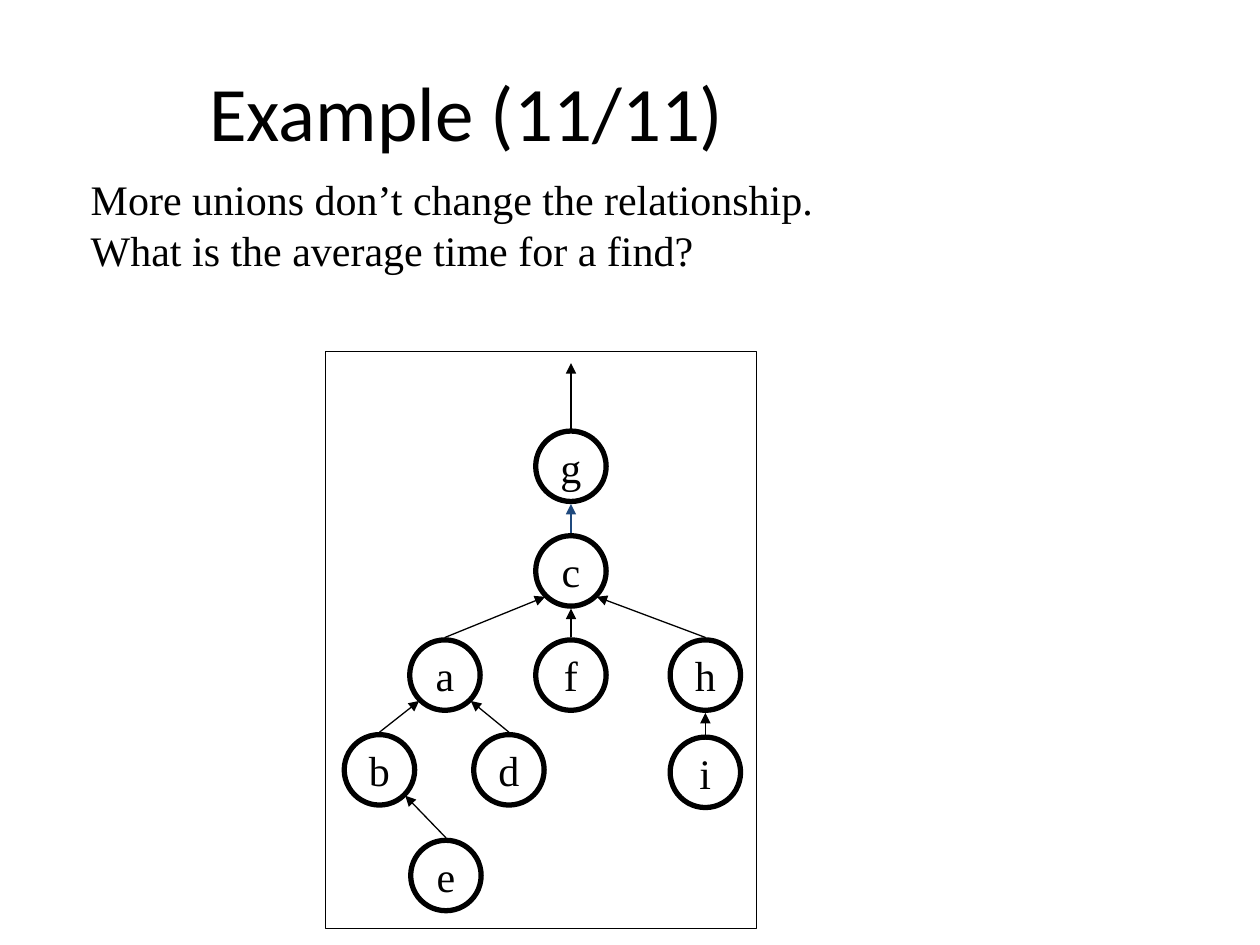
"""Build the slide showing a union-find tree after the last union."""
from lxml import etree
from pptx import Presentation
from pptx.dml.color import RGBColor
from pptx.enum.shapes import MSO_CONNECTOR, MSO_SHAPE
from pptx.enum.text import MSO_ANCHOR, PP_ALIGN
from pptx.oxml.ns import qn
from pptx.util import Cm, Pt

RECTANGLE, OVAL = MSO_SHAPE.RECTANGLE, MSO_SHAPE.OVAL
STRAIGHT = MSO_CONNECTOR.STRAIGHT
TOP, MIDDLE = MSO_ANCHOR.TOP, MSO_ANCHOR.MIDDLE
LEFT, CENTER = PP_ALIGN.LEFT, PP_ALIGN.CENTER
BLACK = RGBColor(0x00, 0x00, 0x00)
WHITE = RGBColor(0xFF, 0xFF, 0xFF)
NAVY = RGBColor(0x1F, 0x49, 0x7D)
TITLE_FONT = {"name": "Calibri", "size": Pt(44)}
BODY_FONT = {"name": "Times New Roman", "size": Pt(24)}
RADIUS, REACH, DIAGONAL = 0.71, 0.76, 0.52


def write(sp, lines, font, align, anchor, wrap):
    tf = sp.text_frame
    tf.word_wrap = wrap
    tf.vertical_anchor = anchor
    for i, line in enumerate(lines):
        p = tf.paragraphs[0] if i == 0 else tf.add_paragraph()
        p.alignment = align
        r = p.add_run()
        r.text = line
        r.font.color.rgb = BLACK
        for key, value in font.items():
            setattr(r.font, key, value)


def arrow(x1, y1, x2, y2, color):
    line = s.shapes.add_connector(STRAIGHT, Cm(x1), Cm(y1), Cm(x2), Cm(y2))
    line.line.color.rgb = color
    line.line.width = Pt(0.75)
    etree.SubElement(line.line._get_or_add_ln(), qn("a:tailEnd"), type="triangle")
    etree.SubElement(line._element.spPr, qn("a:effectLst"))


prs = Presentation()
prs.slide_width, prs.slide_height = Cm(25.4), Cm(19.05)
s = prs.slides.add_slide(prs.slide_layouts[6])

title = s.shapes.add_textbox(Cm(0.2), Cm(0.64), Cm(18.42), Cm(3.18))
write(title, ["Example (11/11)"], TITLE_FONT, CENTER, MIDDLE, True)

question = s.shapes.add_textbox(Cm(1.58), Cm(3.38), Cm(15.42), Cm(2.31))
write(question, ["More unions don’t change the relationship. ",
                 "What is the average time for a find?"], BODY_FONT, LEFT, TOP, False)

frame = s.shapes.add_shape(RECTANGLE, Cm(6.56), Cm(7.09), Cm(8.69), Cm(11.63))
frame.shadow.inherit = False
frame.fill.solid()
frame.fill.fore_color.rgb = WHITE
frame.line.color.rgb = BLACK
frame.line.width = Pt(0.75)

nodes = {
    "g": (11.51, 9.4, None),
    "c": (11.51, 11.51, "g"),
    "a": (8.97, 13.61, "c"),
    "f": (11.51, 13.61, "c"),
    "h": (14.22, 13.61, "c"),
    "b": (7.65, 15.52, "a"),
    "d": (10.26, 15.52, "a"),
    "i": (14.22, 15.57, "h"),
    "e": (8.99, 17.65, "b"),
}
for name, (x, y, parent) in nodes.items():
    node = s.shapes.add_shape(OVAL, Cm(x - RADIUS), Cm(y - RADIUS),
                              Cm(2 * RADIUS), Cm(2 * RADIUS))
    node.shadow.inherit = False
    node.fill.background()
    node.line.color.rgb = BLACK
    node.line.width = Pt(3)
    write(node, [name], BODY_FONT, CENTER, MIDDLE, False)

    if parent is None:
        end_x, end_y = x, 7.32
    else:
        parent_x, parent_y, _ = nodes[parent]
        side = (x > parent_x) - (x < parent_x)
        end_x = parent_x + side * DIAGONAL
        end_y = parent_y + (DIAGONAL if side else REACH)
    arrow(x, y - REACH, end_x, end_y, NAVY if name == "c" else BLACK)

prs.save("out.pptx")
